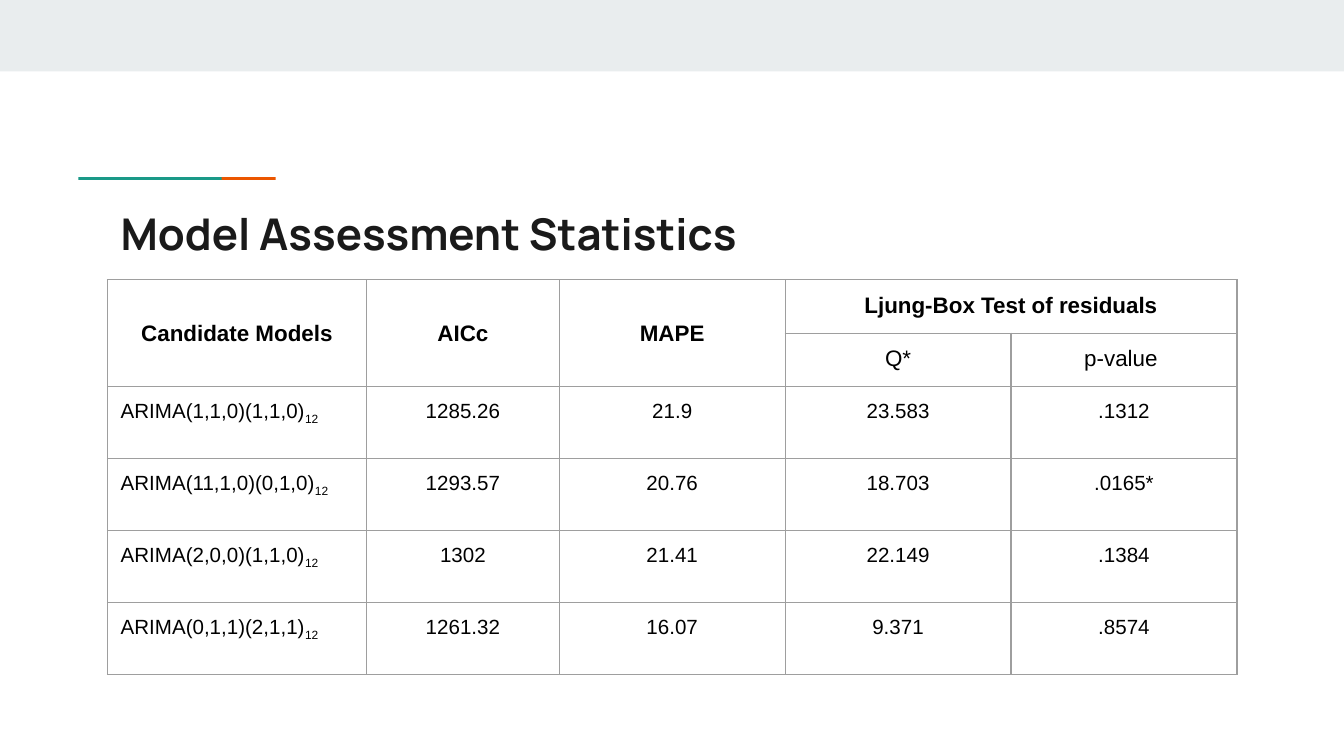
from pptx import Presentation
from pptx.dml.color import RGBColor
from pptx.enum.shapes import MSO_SHAPE
from pptx.enum.text import MSO_ANCHOR, PP_ALIGN
from pptx.oxml import parse_xml
from pptx.oxml.ns import nsdecls
from pptx.util import Cm, Pt

PALE = RGBColor(0xE9, 0xED, 0xEE)
TEAL = RGBColor(0x1A, 0x99, 0x88)
ORANGE = RGBColor(0xEB, 0x56, 0x00)
INK = RGBColor(0x1A, 0x1A, 0x1A)
BLACK = RGBColor(0, 0, 0)
GREY = RGBColor(0x9E, 0x9E, 0x9E)

TITLE = "Model Assessment Statistics"
HEADS = ["Candidate Models", "AICc", "MAPE", "Ljung-Box Test of residuals"]
TESTS = ["Q*", "p-value "]
SEASON = "12"
MODELS = [
    ("ARIMA(1,1,0)(1,1,0)", "1285.26", "21.9", "23.583", ".1312"),
    ("ARIMA(11,1,0)(0,1,0)", "1293.57", "20.76", "18.703", ".0165*"),
    ("ARIMA(2,0,0)(1,1,0)", "1302", "21.41", "22.149", ".1384"),
    ("ARIMA(0,1,1)(2,1,1)", "1261.32", "16.07", "9.371", ".8574"),
]
# left, top, width, height in cm; the teal bar overlaps the orange one
BARS = [
    (0, 0, 25.4, 1.35, PALE),
    (2.5, 3.35, 2.71, 0.05, ORANGE),
    (1.48, 3.35, 2.71, 0.05, TEAL),
]
COLS = [4.9, 3.64, 4.27, 4.27, 4.27]
ROWS = [0.98] * 2 + [1.36] * len(MODELS)

HEAD = {"name": "Arial", "size": Pt(12), "bold": True}
TEST = {**HEAD, "bold": False}
BODY = {**TEST, "size": Pt(11)}
NAME = {"name": "Manrope", "size": Pt(23.4), "bold": True}
INSET = Cm(0.25)
SIDES = ("left", "right", "top", "bottom")


def add_run(para, text, style, color):
    run = para.add_run()
    run.text = text
    for key, value in style.items():
        setattr(run.font, key, value)
    run.font.color.rgb = color
    return run


def fill_cell(cell, text, style, align=PP_ALIGN.CENTER):
    para = cell.text_frame.paragraphs[0]
    para.alignment = align
    add_run(para, text, style, BLACK)
    return para


def frame_cell(cell):
    """Give a cell its insets, grey borders and no fill."""
    for side in SIDES:
        setattr(cell, f"margin_{side}", INSET)
    props = cell._tc.get_or_add_tcPr()
    for tag in ("lnL", "lnR", "lnT", "lnB"):
        props.append(parse_xml(
            f'<a:{tag} {nsdecls("a")} w="{Pt(0.75)}"><a:solidFill>'
            f'<a:srgbClr val="{GREY}"/></a:solidFill></a:{tag}>'))
    cell.fill.background()
    # a small end mark keeps merged cells from stretching their row
    mark = parse_xml(f'<a:endParaRPr {nsdecls("a")} sz="1000"/>')
    cell.text_frame.paragraphs[0]._p.append(mark)


deck = Presentation()
deck.slide_width, deck.slide_height = Cm(25.4), Cm(14.29)
slide = deck.slides.add_slide(deck.slide_layouts[6])

for *place, color in BARS:
    bar = slide.shapes.add_shape(MSO_SHAPE.RECTANGLE, *map(Cm, place))
    bar.shadow.inherit = False
    bar.fill.solid()
    bar.fill.fore_color.rgb = color
    bar.line.fill.background()

title = slide.shapes.add_textbox(Cm(2.03), Cm(3.66), Cm(21.36), Cm(1.5)).text_frame
title.word_wrap = True
for side in SIDES:
    setattr(title, f"margin_{side}", INSET)
add_run(title.paragraphs[0], TITLE, NAME, INK)

table = slide.shapes.add_table(
    len(ROWS), len(COLS), Cm(2.03), Cm(5.29), Cm(sum(COLS)), Cm(sum(ROWS))).table
table.first_row = table.horz_banding = False
for col, width in zip(table.columns, COLS):
    col.width = Cm(width)
for row, height in zip(table.rows, ROWS):
    row.height = Cm(height)
for cell in table.iter_cells():
    frame_cell(cell)

for c, text in enumerate(HEADS):
    cell = table.cell(0, c)
    if c < 3:
        cell.merge(table.cell(1, c))
        cell.vertical_anchor = MSO_ANCHOR.MIDDLE
    else:
        cell.merge(table.cell(0, c + 1))
    fill_cell(cell, text, HEAD)
for c, text in enumerate(TESTS, 3):
    fill_cell(table.cell(1, c), text, TEST)
for r, (model, *stats) in enumerate(MODELS, 2):
    para = fill_cell(table.cell(r, 0), model, BODY, PP_ALIGN.LEFT)
    sub = add_run(para, SEASON, BODY, BLACK)
    sub.font._element.set("baseline", "-25000")
    for c, text in enumerate(stats, 1):
        fill_cell(table.cell(r, c), text, BODY)

deck.save("out.pptx")
